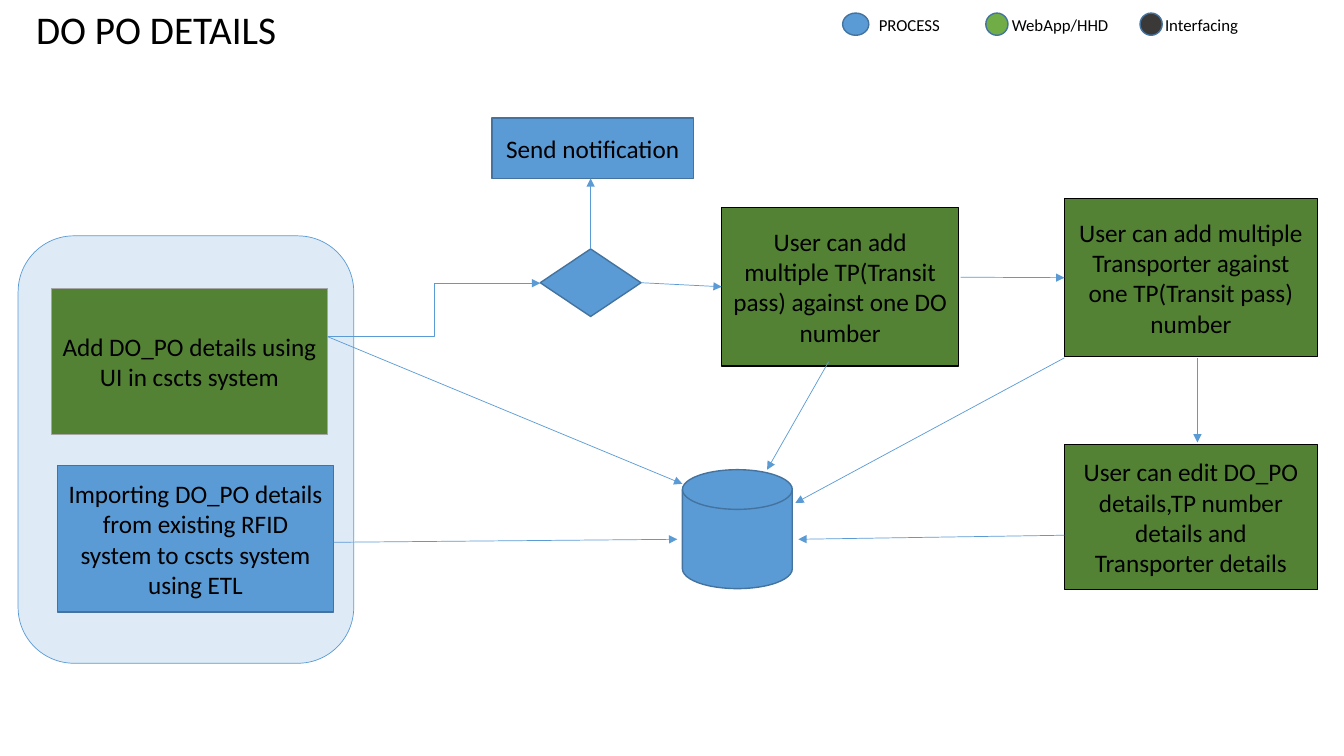
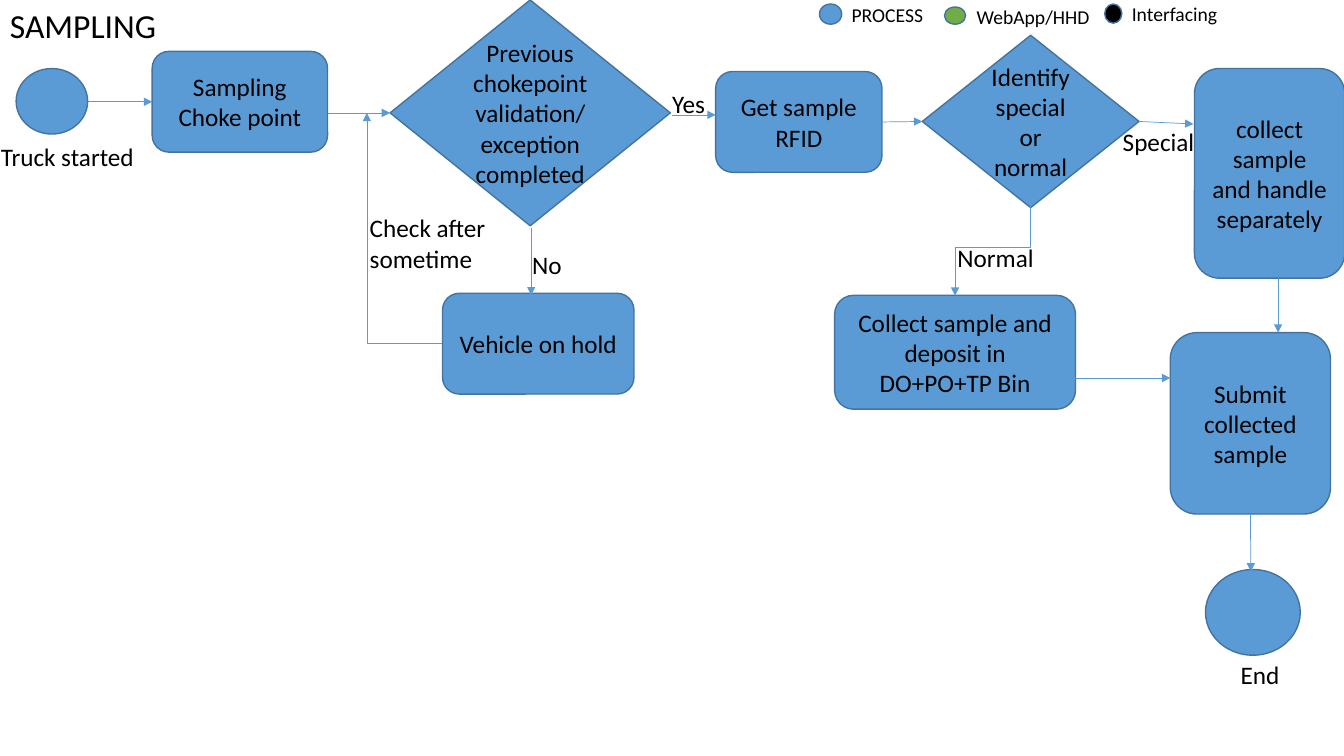
"""Build two process-flow slides: DO PO details and sampling."""
from lxml import etree
from pptx import Presentation
from pptx.dml.color import RGBColor
from pptx.enum.shapes import MSO_CONNECTOR, MSO_SHAPE
from pptx.enum.text import MSO_ANCHOR, PP_ALIGN
from pptx.oxml.ns import qn
from pptx.util import Pt

PX = 9144
FONT = "Calibri"
BODY_SIZE = 18
COLORS = {
    "process": "5B9BD5", "outline": "43739E", "webapp": "70AD47", "user_step": "548235",
    "panel": "DEEBF7", "gray": "A5A5A5", "charcoal": "3B3838", "black": "000000",
}
RECT, ROUND = MSO_SHAPE.RECTANGLE, MSO_SHAPE.ROUNDED_RECTANGLE
OVAL, DECISION = MSO_SHAPE.OVAL, MSO_SHAPE.FLOWCHART_DECISION
DISK = MSO_SHAPE.FLOWCHART_MAGNETIC_DISK
STRAIGHT, ELBOW = MSO_CONNECTOR.STRAIGHT, MSO_CONNECTOR.ELBOW
CENTER, LEFT, MIDDLE, TOP = PP_ALIGN.CENTER, PP_ALIGN.LEFT, MSO_ANCHOR.MIDDLE, MSO_ANCHOR.TOP
TOP_SIDE, LEFT_SIDE, BOTTOM_SIDE, RIGHT_SIDE = range(4)


def add_part(slide, kind, at, text="", fill="process", line="outline", weight=1, size=BODY_SIZE):
    """Add a flow shape, or a plain label when kind is None."""
    box = [length * PX for length in at]
    if kind is None:
        part = slide.shapes.add_textbox(*box)
    else:
        part = slide.shapes.add_shape(kind, *box)
        part.shadow.inherit = False
        part.fill.solid()
        part.fill.fore_color.rgb = RGBColor.from_string(COLORS[fill])
        part.line.color.rgb = RGBColor.from_string(COLORS[line])
        part.line.width = Pt(weight)
    if text:
        frame = part.text_frame
        frame.word_wrap = True
        frame.vertical_anchor = TOP if kind is None else MIDDLE
        frame.text = text
        for paragraph in frame.paragraphs:
            paragraph.alignment = LEFT if kind is None else CENTER
            paragraph.font.name = FONT
            paragraph.font.size = Pt(size)
            paragraph.font.color.rgb = RGBColor.from_string(COLORS["black"])
    return part


def add_arrow(slide, steps, begin, end, kind=STRAIGHT):
    """Add an arrow; each end is a point or a (step name, side) pair."""
    begin_joined, end_joined = isinstance(begin[0], str), isinstance(end[0], str)
    start = (0, 0) if begin_joined else begin
    finish = (0, 0) if end_joined else end
    arrow = slide.shapes.add_connector(kind, *[length * PX for length in (*start, *finish)])
    if begin_joined:
        arrow.begin_connect(steps[begin[0]], begin[1])
    if end_joined:
        arrow.end_connect(steps[end[0]], end[1])
    arrow.line.color.rgb = RGBColor.from_string(COLORS["process"])
    arrow.line.width = Pt(0.5)
    etree.SubElement(arrow.line._get_or_add_ln(), qn("a:tailEnd"), type="triangle")
    etree.SubElement(arrow._element.spPr, qn("a:effectLst"))
    return arrow


deck = Presentation()
deck.slide_width, deck.slide_height = 12192000, 750 * PX

pages = [
    {
        "title": ("DO PO DETAILS", (26, 0, 300, 57), 28),
        "legend_size": 12,
        "legend": [
            ("PROCESS", "process", (836, 13, 26, 22), (862, 10, 100, 30)),
            ("WebApp/HHD", "webapp", (978, 13, 22, 22), (994, 10, 130, 30)),
            ("Interfacing", "charcoal", (1131, 13, 22, 22), (1146, 10, 130, 30)),
        ],
        "steps": {
            "entry": (ROUND, (18, 234, 333, 424), "", "panel", "process", 0.5),
            "import": (RECT, (57, 462, 274, 145),
                       "Importing DO_PO details from existing RFID system to cscts system using ETL"),
            "add": (RECT, (51, 286, 274, 145), "Add DO_PO details using UI in cscts system",
                    "user_step", "gray"),
            "passes": (RECT, (716, 206, 235, 157),
                       "User can add multiple TP(Transit pass) against one DO number",
                       "user_step", "black"),
            "transporters": (RECT, (1056, 197, 251, 157),
                             "User can add multiple Transporter against one TP(Transit pass) number",
                             "user_step", "black"),
            "edit": (RECT, (1056, 441, 251, 144),
                     "User can edit DO_PO details,TP number details and Transporter details",
                     "user_step", "black"),
            "check": (DECISION, (536, 247, 100, 67)),
            "database": (DISK, (677, 466, 109, 118)),
            "notify": (RECT, (488, 117, 200, 60), "Send notification"),
        },
        "labels": [],
        "arrows": [
            ((325, 334), (677, 480)),
            ((953, 275), ("transporters", LEFT_SIDE)),
            ((1188, 355), (1188, 439)),
            (("check", TOP_SIDE), (586, 177)),
            (("check", RIGHT_SIDE), ("passes", LEFT_SIDE)),
            ((822, 359), (761, 466)),
            ((1056, 355), (789, 499)),
            ((1056, 531), (792, 535)),
            ((331, 538), (672, 535)),
            ((325, 334), (536, 281), ELBOW),
        ],
    },
    {
        "title": ("SAMPLING", (0, 0, 174, 50), 24),
        "legend_size": 14,
        "legend": [
            ("PROCESS", "process", (813, 4, 22, 20), (835, -2, 100, 34)),
            ("WebApp/HHD", "webapp", (937, 7, 21, 17), (959, 0, 150, 34)),
            ("Interfacing", "black", (1096, 4, 17, 19), (1113, -3, 118, 34)),
        ],
        "steps": {
            "start": (OVAL, (16, 68, 71, 65)),
            "choke": (ROUND, (151, 51, 174, 100), "Sampling\nChoke point"),
            "validated": (DECISION, (387, 0, 278, 224),
                          "Previous chokepoint validation/exception completed"),
            "rfid": (ROUND, (710, 71, 165, 100), "Get sample RFID"),
            "hold": (ROUND, (439, 291, 190, 100), "Vehicle on hold"),
            "identify": (DECISION, (915, 35, 215, 171), "Identify special or normal"),
            "deposit": (ROUND, (828, 293, 239, 113), "Collect sample and deposit in DO+PO+TP Bin"),
            "separate": (ROUND, (1185, 68, 149, 208), "collect sample and handle separately"),
            "submit": (ROUND, (1161, 330, 159, 180), "Submit collected sample"),
            "end": (OVAL, (1196, 565, 94, 85)),
        },
        "labels": [
            ("Truck started", (-9, 135, 160, 40)),
            ("Yes", (657, 83, 94, 40)),
            ("No", (518, 242, 91, 40)),
            ("Check after sometime", (357, 206, 137, 71)),
            ("Normal", (940, 235, 150, 40)),
            ("Special", (1104, 120, 100, 40)),
            ("End", (1221, 649, 112, 40)),
        ],
        "arrows": [
            ((87, 101), ("choke", LEFT_SIDE)),
            ((325, 112), ("validated", LEFT_SIDE)),
            ((527, 226), (527, 293)),
            ((667, 114), (710, 114)),
            (("rfid", RIGHT_SIDE), ("identify", LEFT_SIDE)),
            (("identify", RIGHT_SIDE), (1184, 123)),
            ((1268, 276), (1268, 330)),
            ((1067, 375), (1161, 375)),
            (("submit", BOTTOM_SIDE), (1241, 567)),
        ],
    },
]

for page in pages:
    slide = deck.slides.add_slide(deck.slide_layouts[6])
    title, title_at, title_size = page["title"]
    add_part(slide, None, title_at, title, size=title_size)
    for caption, color, dot_at, caption_at in page["legend"]:
        add_part(slide, OVAL, dot_at, fill=color)
        add_part(slide, None, caption_at, caption, size=page["legend_size"])
    steps = {name: add_part(slide, *step) for name, step in page["steps"].items()}
    for label, label_at in page["labels"]:
        add_part(slide, None, label_at, label)
    for route in page["arrows"]:
        add_arrow(slide, steps, *route)

retry = add_arrow(slide, steps, (439, 341), (364, 112), ELBOW)
retry._element.spPr.find(qn("a:prstGeom")).set("prst", "bentConnector2")

normal = add_arrow(slide, steps, (937, 208), (1033, 283), ELBOW)
normal._element.spPr.find(qn("a:xfrm")).set("rot", "5400000")

deck.save("out.pptx")
